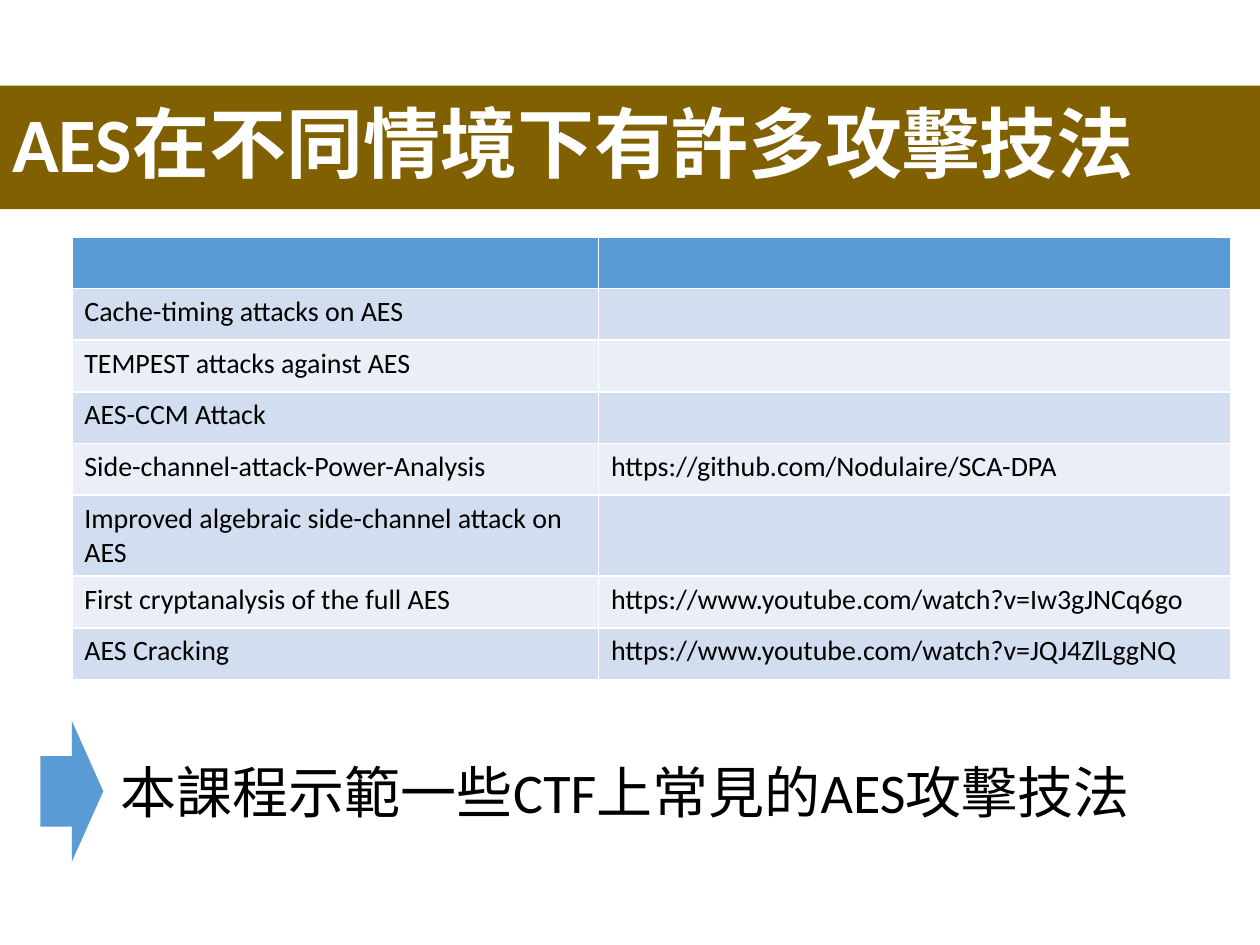
from pptx import Presentation
from pptx.dml.color import RGBColor
from pptx.enum.shapes import MSO_SHAPE
from pptx.enum.text import MSO_ANCHOR, PP_ALIGN
from pptx.util import Inches, Pt

RECTANGLE = MSO_SHAPE.RECTANGLE
RIGHT_ARROW = MSO_SHAPE.RIGHT_ARROW
MIDDLE = MSO_ANCHOR.MIDDLE
LEFT = PP_ALIGN.LEFT

BLUE = "5B9BD5"
BROWN = "806000"
BANDS = ("D2DEEF", "EAEFF7")
ROW_HEIGHT = Inches(0.41)
COLUMN_WIDTHS = (Inches(4.18), Inches(5.02))

ATTACKS = [
    ("Cache-timing attacks on AES", ""),
    ("TEMPEST attacks against AES", ""),
    ("AES-CCM Attack", ""),
    ("Side-channel-attack-Power-Analysis", "https://github.com/Nodulaire/SCA-DPA"),
    ("Improved algebraic side-channel attack on AES", ""),
    ("First cryptanalysis of the full AES", "https://www.youtube.com/watch?v=Iw3gJNCq6go"),
    ("AES Cracking", "https://www.youtube.com/watch?v=JQJ4ZlLggNQ"),
]


def paint(fill, color):
    fill.solid()
    fill.fore_color.rgb = RGBColor.from_string(color)


def write(text_frame, text, color="000000", **font_values):
    text_frame.text = text
    paragraph = text_frame.paragraphs[0]
    paragraph.alignment = LEFT
    for name, value in {"name": "Calibri", **font_values}.items():
        setattr(paragraph.font, name, value)
    paint(paragraph.font.fill, color)
    return paragraph


presentation = Presentation()
presentation.slide_width = Inches(10)
presentation.slide_height = Inches(7.5)
slide = presentation.slides.add_slide(presentation.slide_layouts[6])

# Title band and arrow
title = slide.shapes.add_shape(
    RECTANGLE, 0, Inches(0.68), presentation.slide_width, Inches(0.98))
arrow = slide.shapes.add_shape(
    RIGHT_ARROW, Inches(0.32), Inches(5.72), Inches(0.5), Inches(1.12))
for shape, color in ((title, BROWN), (arrow, BLUE)):
    shape.shadow.inherit = False
    shape.line.fill.background()
    paint(shape.fill, color)
title.text_frame.word_wrap = True
title.text_frame.vertical_anchor = MIDDLE
heading = write(title.text_frame, "AES在不同情境下有許多攻擊技法", "FFFFFF",
                size=Pt(44), bold=True)
heading.line_spacing = 0.9

# Attack table: an empty header, then banded rows
row_count = len(ATTACKS) + 1
table = slide.shapes.add_table(
    row_count, len(COLUMN_WIDTHS), Inches(0.57), Inches(1.88),
    sum(COLUMN_WIDTHS), ROW_HEIGHT * row_count).table
for column, width in zip(table.columns, COLUMN_WIDTHS):
    column.width = width
for cell in table.rows[0].cells:
    paint(cell.fill, BLUE)
for index, texts in enumerate(ATTACKS):
    for cell, text in zip(table.rows[index + 1].cells, texts):
        paint(cell.fill, BANDS[index % 2])
        if text:
            write(cell.text_frame, text, size=Pt(16))

# Closing remark beside the arrow
remark = slide.shapes.add_textbox(
    Inches(0.86), Inches(5.96), Inches(8.28), Inches(0.64))
remark.text_frame.word_wrap = True
write(remark.text_frame, "本課程示範一些CTF上常見的AES攻擊技法", size=Pt(32))

presentation.save("out.pptx")
